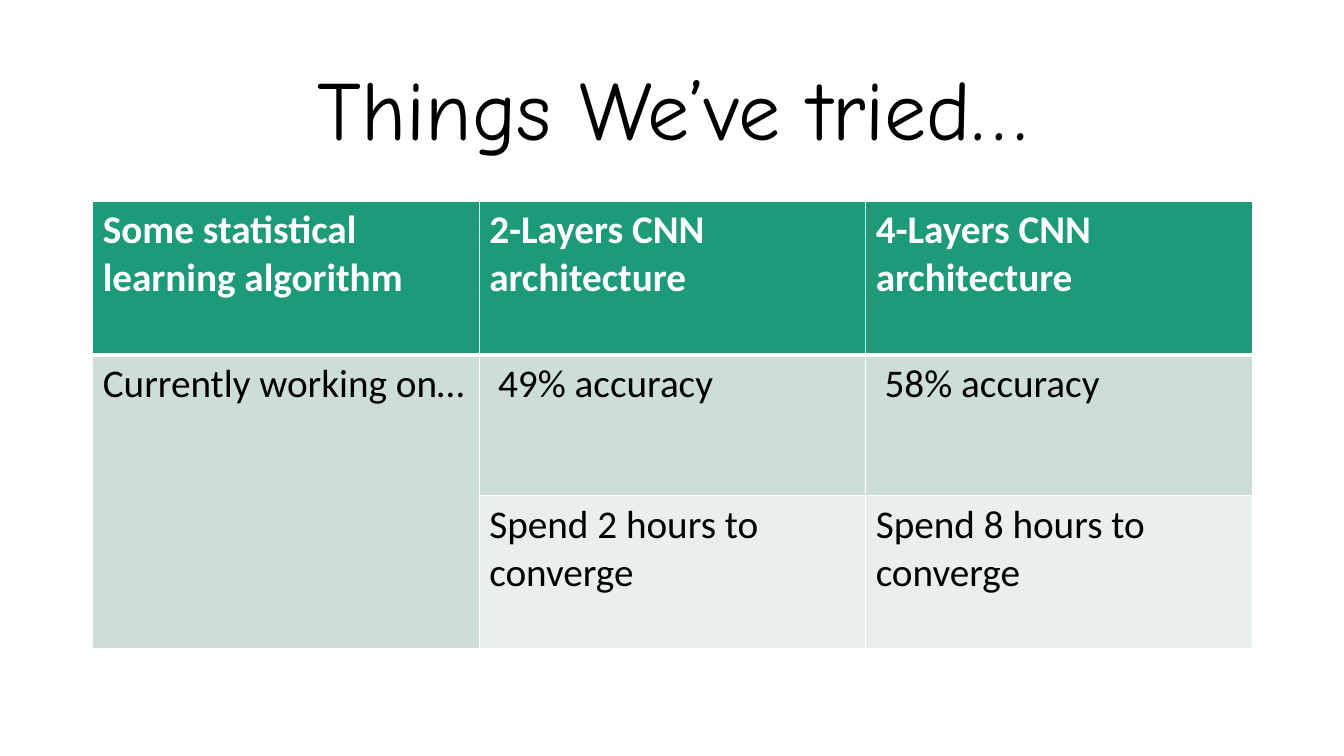
"""Build a slide comparing the approaches tried so far."""
from dataclasses import dataclass

from lxml.etree import SubElement
from pptx import Presentation
from pptx.dml.color import RGBColor
from pptx.enum.text import MSO_ANCHOR, PP_ALIGN
from pptx.oxml.ns import qn
from pptx.util import Inches, Pt


@dataclass(frozen=True)
class Theme:
    title_font: str = "Comic Neue"
    body_font: str = "Calibri"
    title_size: int = 60
    body_size: int = 28
    text: str = "000000"
    white: str = "FFFFFF"
    header_fill: str = "1D9A78"
    band_fills: tuple = ("CDDED6", "E8EFEC")
    border: float = 1
    header_border: float = 3


class SlideBuilder:
    def __init__(self, slide, theme):
        self.slide = slide
        self.theme = theme

    def format_runs(self, paragraph, font_name, size, color, bold=False):
        for run in paragraph.runs:
            run.font.name = font_name
            run.font.size = Pt(size)
            run.font.bold = bold
            run.font.color.rgb = RGBColor.from_string(color)

    def add_title(self, text, left, top, width, height):
        title = self.slide.shapes.title
        title.left, title.top = Inches(left), Inches(top)
        title.width, title.height = Inches(width), Inches(height)
        title.text_frame.text = text
        title.text_frame.vertical_anchor = MSO_ANCHOR.MIDDLE
        paragraph = title.text_frame.paragraphs[0]
        paragraph.alignment = PP_ALIGN.CENTER
        paragraph.line_spacing = 0.9
        self.format_runs(paragraph, self.theme.title_font,
                         self.theme.title_size, self.theme.text)

    def set_borders(self, cell, top, bottom):
        properties = cell._tc.get_or_add_tcPr()
        side = self.theme.border
        widths = {"a:lnL": side, "a:lnR": side, "a:lnT": top, "a:lnB": bottom}
        for tag, width in widths.items():
            line = SubElement(properties, qn(tag), w=str(Pt(width)))
            fill = SubElement(line, qn("a:solidFill"))
            SubElement(fill, qn("a:srgbClr"), val=self.theme.white)

    def format_cell(self, cell, text, row_index):
        theme = self.theme
        is_header = row_index == 0
        self.set_borders(
            cell,
            top=theme.header_border if row_index == 1 else theme.border,
            bottom=theme.header_border if is_header else theme.border)
        fill = theme.header_fill if is_header else theme.band_fills[row_index - 1]
        cell.fill.solid()
        cell.fill.fore_color.rgb = RGBColor.from_string(fill)
        cell.text_frame.text = text
        self.format_runs(cell.text_frame.paragraphs[0], theme.body_font,
                         theme.body_size,
                         theme.white if is_header else theme.text, is_header)

    def add_table(self, rows, left, top, width, row_heights):
        column_count = len(rows[0])
        table = self.slide.shapes.add_table(
            len(rows), column_count, Inches(left), Inches(top),
            Inches(width), Inches(sum(row_heights))).table
        for column in table.columns:
            column.width = Inches(width / column_count)
        for row_index, texts in enumerate(rows):
            table.rows[row_index].height = Inches(row_heights[row_index])
            for column_index, text in enumerate(texts):
                self.format_cell(table.cell(row_index, column_index), text, row_index)
        return table


def main():
    presentation = Presentation()
    presentation.slide_width = Inches(13.33)
    presentation.slide_height = Inches(7.5)
    slide = presentation.slides.add_slide(presentation.slide_layouts[5])
    builder = SlideBuilder(slide, Theme())
    builder.add_title("Things We’ve tried…", 0.92, 0.4, 11.5, 1.45)
    results = [
        ["Some statistical learning algorithm", "2-Layers CNN architecture",
         "4-Layers CNN architecture"],
        ["Currently working on…", " 49% accuracy", " 58% accuracy"],
        ["", "Spend 2 hours to converge", "Spend 8 hours to converge"],
    ]
    table = builder.add_table(results, 0.92, 2, 11.5, [1.52, 1.4, 1.52])
    table.cell(1, 0).merge(table.cell(2, 0))
    presentation.save("out.pptx")


if __name__ == "__main__":
    main()
